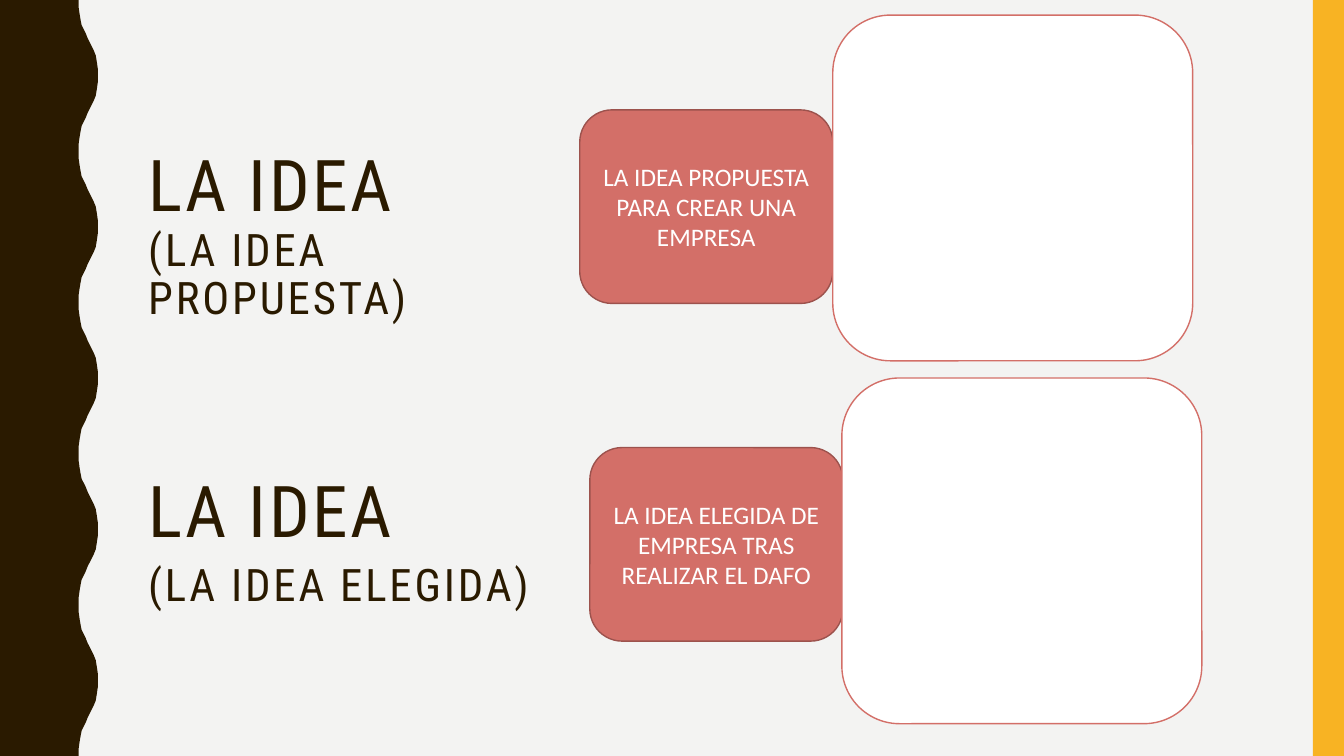
from pptx import Presentation
from pptx import util as u
from pptx.dml.color import RGBColor
from pptx.enum import shapes, text

PX = 9144  # EMU per px, 100 px to the inch
WIDTH, HEIGHT = 1333, 750
THEME = {
    "paper": RGBColor.from_string("F3F3F2"),
    "brown": RGBColor.from_string("2A1A00"),
    "yellow": RGBColor.from_string("F8B323"),
    "red": RGBColor.from_string("D36F68"),
    "dark_red": RGBColor.from_string("9C524D"),
    "white": RGBColor.from_string("FFFFFF"),
    "heading_font": "Roboto Condensed",
    "card_font": "Calibri",
    "heading_size": u.Pt(51),
    "subheading_size": u.Pt(32),
    "card_size": u.Pt(18),
}


def paint(shape, fill, line=None):
    shape.shadow.inherit = False
    shape.fill.solid()
    shape.fill.fore_color.rgb = THEME[fill]
    if line:
        shape.line.color.rgb = THEME[line]
        shape.line.width = u.Pt(1)
    else:
        shape.line.fill.background()


def add_span(para, words, font, size, color):
    span = para.add_run()
    span.text = words
    for name, value in {"name": THEME[font], "size": THEME[size]}.items():
        setattr(span.font, name, value)
    span.font.color.rgb = THEME[color]
    return span


deck = Presentation()
deck.slide_width, deck.slide_height = WIDTH * PX, HEIGHT * PX
page = deck.slides.add_slide(deck.slide_layouts[5])
page.background.fill.solid()
page.background.fill.fore_color.rgb = THEME["paper"]

# Wavy left edge: half a wave, mirrored and repeated down the page
WAVE = 150
half = [(78, 0), (78, 7), (79, 14), (80, 20), (81, 25), (83, 29), (85, 33),
        (87, 38), (89, 42), (91, 46), (93, 50), (95, 55), (96, 61), (97, 68)]
crest = [(97, WAVE // 2)]
wave = half + crest + [(x, WAVE - y) for x, y in reversed(half[1:])]
edge = [(x, top + y) for top in range(0, HEIGHT, WAVE) for x, y in wave]
outline = page.shapes.build_freeform(0, 0, scale=PX)
outline.add_line_segments(edge + [(78, HEIGHT), (0, HEIGHT)], close=True)
paint(outline.convert_to_shape(), "brown")

# Yellow right band
band = page.shapes.add_shape(
    shapes.MSO_SHAPE.RECTANGLE, 1302 * PX, 0, 31 * PX, HEIGHT * PX)
paint(band, "yellow")

# Headings: the title placeholder above, a text box below
lower_heading = page.shapes.add_textbox(0, 0, PX, PX)
headings = [
    (page.shapes.title, (137, 144, 448, 157), 0.9, 0, "(LA IDEA PROPUESTA)"),
    (lower_heading, (137, 449, 429, 181), 1.1, 7, "(LA IDEA ELEGIDA)"),
]
for box, place, line_spacing, space_before, subheading in headings:
    box.left, box.top, box.width, box.height = (n * PX for n in place)
    frame_format = {"word_wrap": True, "auto_size": text.MSO_AUTO_SIZE.NONE,
                    "vertical_anchor": text.MSO_ANCHOR.TOP}
    for name, value in frame_format.items():
        setattr(box.text_frame, name, value)
    para = box.text_frame.paragraphs[0]
    para_format = {"alignment": text.PP_ALIGN.LEFT, "line_spacing": line_spacing,
                   "space_before": u.Pt(space_before)}
    for name, value in para_format.items():
        setattr(para, name, value)
    first = add_span(para, "LA IDEA", "heading_font", "heading_size", "brown")
    para.add_line_break()
    second = add_span(para, subheading, "heading_font", "subheading_size", "brown")
    for span in (first, second):
        span._r.get_or_add_rPr().set("spc", "200")

# Red label cards, each with an empty white panel to its right
ideas = [
    ("LA IDEA PROPUESTA PARA CREAR UNA EMPRESA", (575, 109), (826, 15)),
    ("LA IDEA ELEGIDA DE EMPRESA TRAS REALIZAR EL DAFO", (585, 444), (835, 375)),
]
for label, (card_x, card_y), (panel_x, panel_y) in ideas:
    card = page.shapes.add_shape(
        shapes.MSO_SHAPE.ROUNDED_RECTANGLE,
        card_x * PX, card_y * PX, 251 * PX, 192 * PX)
    paint(card, "red", "dark_red")
    card.text_frame.word_wrap = True
    card.text_frame.vertical_anchor = text.MSO_ANCHOR.MIDDLE
    para = card.text_frame.paragraphs[0]
    para.alignment = text.PP_ALIGN.CENTER
    add_span(para, label, "card_font", "card_size", "white")

    panel = page.shapes.add_shape(
        shapes.MSO_SHAPE.ROUNDED_RECTANGLE,
        panel_x * PX, panel_y * PX, 357 * PX, 343 * PX)
    paint(panel, "white", "red")

deck.save("out.pptx")
